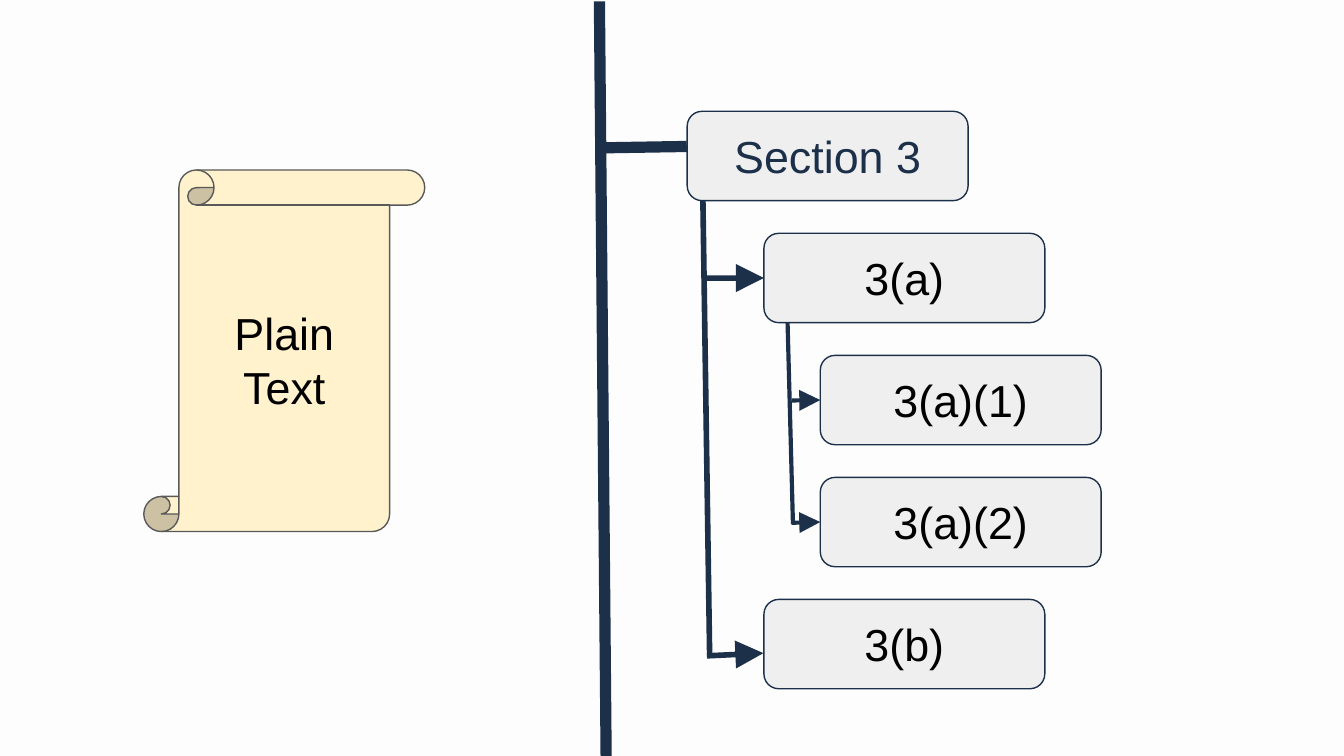
from lxml.etree import SubElement
from pptx import Presentation
from pptx.dml.color import RGBColor
from pptx.enum.shapes import MSO_CONNECTOR, MSO_SHAPE
from pptx.enum.text import MSO_ANCHOR, PP_ALIGN
from pptx.oxml.ns import qn
from pptx.util import Inches, Pt

NAVY, BLACK, GRAY, PAPER = "1C304A", "000000", "EFEFEF", "FFF2CC"
SCROLL_EDGE, BACKGROUND = "595959", "FEFDFD"
LEFT_SIDE = 1


def color(value):
    return RGBColor.from_string(value)


class DiagramSlide:
    """Style and drawing methods for one slide on a grid of 0.1 inch cells."""

    cell = 0.1
    font_name = "Arial"
    font_size = Pt(24)

    def __init__(self, presentation):
        self.slide = presentation.slides.add_slide(presentation.slide_layouts[6])
        fill = self.slide.background.fill
        fill.solid()
        fill.fore_color.rgb = color(BACKGROUND)

    def grid(self, *cells):
        return [Inches(count * self.cell) for count in cells]

    def labeled_shape(self, kind, text, area, fill, edge, text_color=BLACK):
        shape = self.slide.shapes.add_shape(kind, *self.grid(*area))
        shape.shadow.inherit = False
        shape.fill.solid()
        shape.fill.fore_color.rgb = color(fill)
        shape.line.color.rgb = color(edge)
        shape.line.width = Pt(0.75)
        frame = shape.text_frame
        frame.word_wrap = True
        frame.vertical_anchor = MSO_ANCHOR.MIDDLE
        frame.margin_left = frame.margin_right = Inches(0.1)
        frame.margin_top = frame.margin_bottom = Inches(0.1)
        paragraph = frame.paragraphs[0]
        paragraph.alignment = PP_ALIGN.CENTER
        run = paragraph.add_run()
        run.text = text
        run.font.name = self.font_name
        run.font.size = self.font_size
        run.font.color.rgb = color(text_color)
        return shape

    def line(self, start, end, width, arrow=False, target=None):
        connector = self.slide.shapes.add_connector(
            MSO_CONNECTOR.STRAIGHT, *self.grid(*start, *end))
        connector.line.color.rgb = color(NAVY)
        connector.line.width = Pt(width)
        if arrow:
            SubElement(connector.line._get_or_add_ln(), qn("a:tailEnd"),
                       type="triangle", w="lg", len="lg")
        SubElement(connector._element.spPr, qn("a:effectLst"))
        if target is not None:
            connector.end_connect(target, LEFT_SIDE)


def main():
    presentation = Presentation()
    presentation.slide_width = Inches(10)
    presentation.slide_height = presentation.slide_width * 9 // 16
    diagram = DiagramSlide(presentation)

    diagram.labeled_shape(MSO_SHAPE.VERTICAL_SCROLL, "Plain Text",
                          (10.7, 12.65, 20.9, 26.9), PAPER, SCROLL_EDGE)

    level_columns = (51.13, 56.84, 61.03)
    first_row, row_step = 8.28, 9.08
    outline = [("Section 3", 0, NAVY), ("3(a)", 1, BLACK), ("3(a)(1)", 2, BLACK),
               ("3(a)(2)", 2, BLACK), ("3(b)", 1, BLACK)]
    boxes = {}
    for index, (text, level, text_color) in enumerate(outline):
        area = (level_columns[level], first_row + index * row_step, 20.9, 6.65)
        boxes[text] = diagram.labeled_shape(
            MSO_SHAPE.FLOWCHART_ALTERNATE_PROCESS, text, area, GRAY, NAVY, text_color)

    trunks = [((44.6, 0.1), (45.1, 56.25), 6), ((52.3, 14.9), (52.8, 48.7), 3),
              ((58.6, 24), (59, 39), 2.25), ((44.8, 11), (51.1, 10.9), 6)]
    for start, end, width in trunks:
        diagram.line(start, end, width)

    branches = [((52.5, 20.7), (56.8, 20.7), 3, boxes["3(a)"]),
                ((58.9, 29.8), (61, 29.7), 2.25, boxes["3(a)(1)"]),
                ((58.9, 38.9), (61, 38.8), 2.25, boxes["3(a)(2)"]),
                ((52.6, 48.8), (56.8, 48.6), 3, None)]
    for start, end, width, target in branches:
        diagram.line(start, end, width, arrow=True, target=target)

    presentation.save("out.pptx")


if __name__ == "__main__":
    main()
